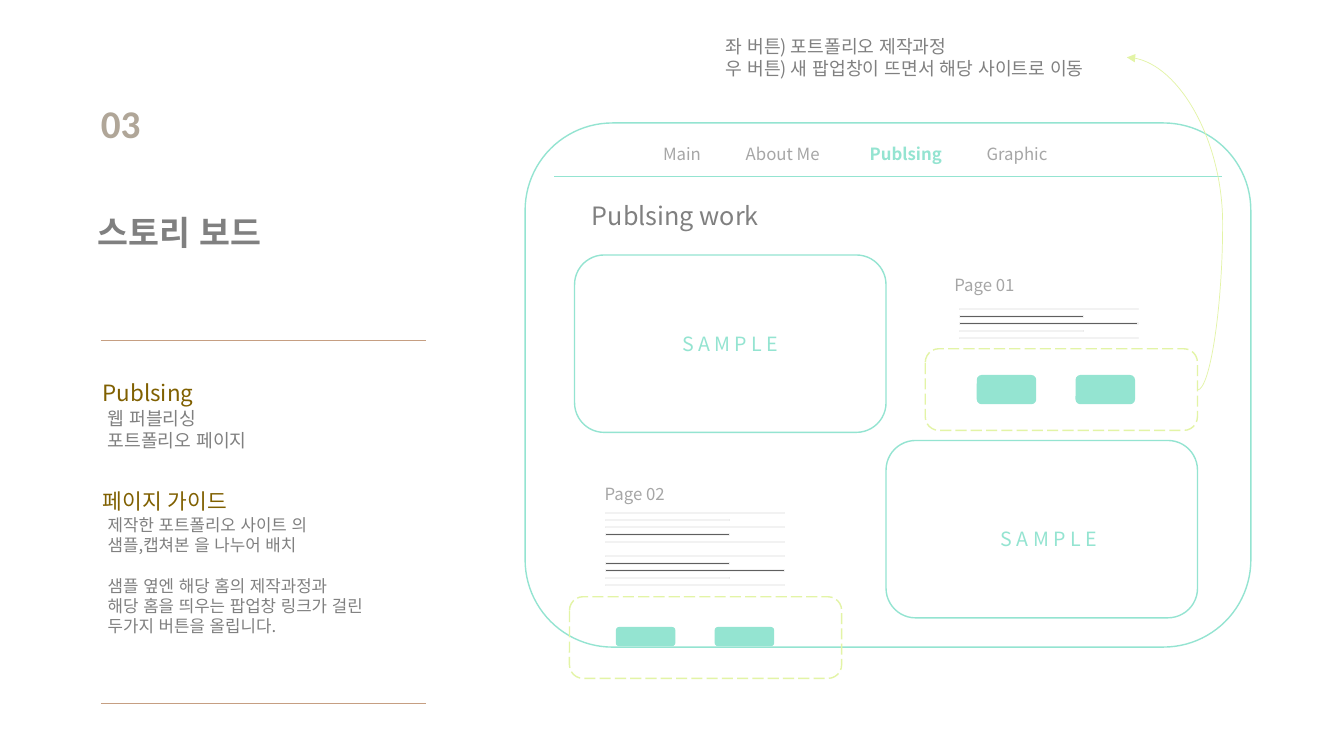
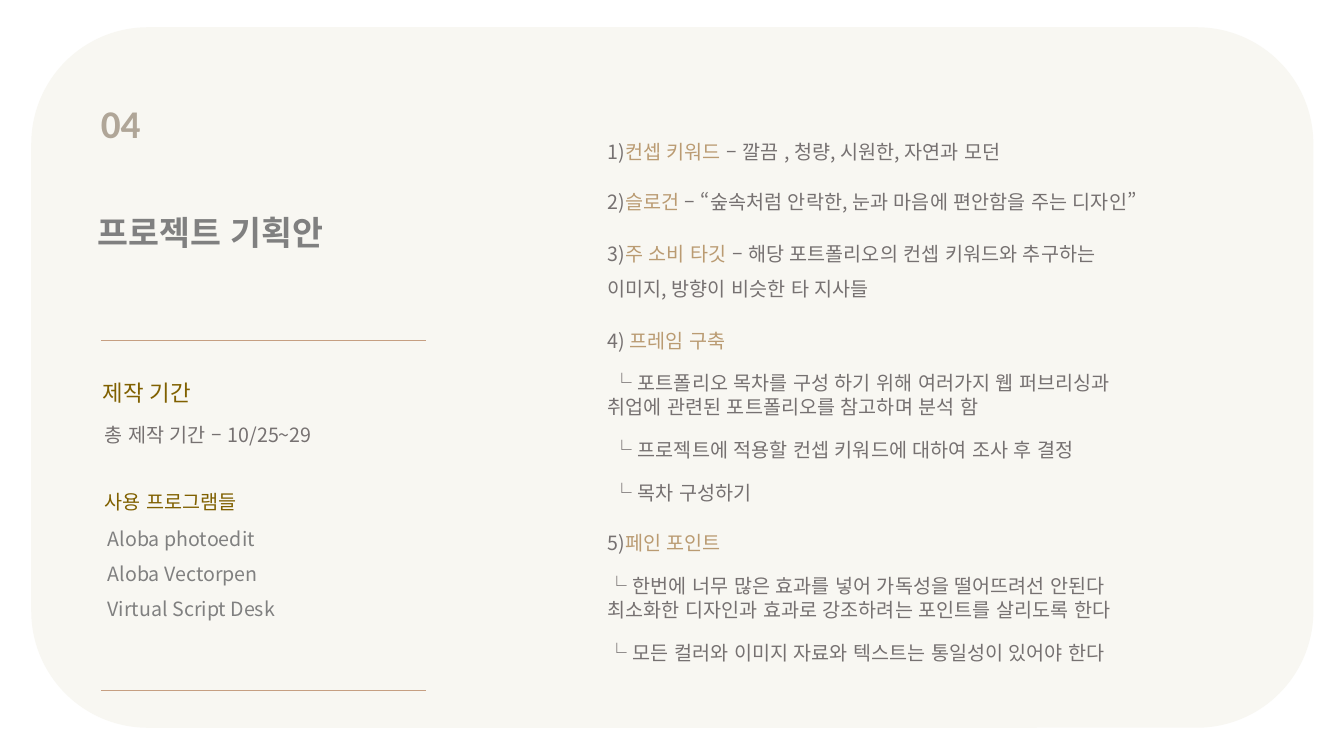
from lxml import etree
from pptx import Presentation
from pptx import util as u
from pptx.dml.color import RGBColor
from pptx.enum import dml, lang, shapes, text
from pptx.oxml import ns

PX = 9144  # EMU in one px, 100 px to the inch
FONT = "Noto Sans CJK KR"
COLORS = {
    "mint": "94E4D1", "lime": "E3F4A6", "cream": "F8F7F2", "tan": "C69F82",
    "sand": "B0A698", "gold": "BA9B72", "olive": "806000", "gray": "808080",
    "light": "A6A6A6", "body": "767171", "bar": "5F5F5F", "edge": "F2F2F2",
}
HEADING = {"line_spacing": u.Pt(48.6)}
LOOSE = {"line_spacing": 1.5}


def rgb(name):
    return RGBColor.from_string(COLORS[name])


def sub(parent, tag, **attrs):
    return etree.SubElement(parent, ns.qn(tag), attrs)


def set_all(target, values):
    for name, value in values.items():
        setattr(target, name, value)


def add_text(s, box, paras, size, color, font=FONT, bold=False, inset=True,
             tabs=(), fmt=None, gaps=None, indents=None):
    """A paragraph is a string or a list of (text, colour[, bold]) runs.

    gaps and indents map a paragraph index to points before it and to px.
    """
    sp = s.shapes.add_textbox(*(v * PX for v in box))
    tf = sp.text_frame
    tf.word_wrap = True
    if not inset:
        set_all(tf, dict.fromkeys(
            ("margin_left", "margin_top", "margin_right", "margin_bottom"), 0))
    for i, para in enumerate(paras):
        p = tf.add_paragraph() if i else tf.paragraphs[0]
        pPr = p._p.get_or_add_pPr()
        if indents and i in indents:
            pPr.set("indent", str(indents[i] * PX))
        if tabs:
            stops = sub(pPr, "a:tabLst")
            for pos in tabs:
                sub(stops, "a:tab", pos=str(pos * PX), algn="l")
        set_all(p, fmt or {})
        if gaps and i in gaps:
            p.space_before = u.Pt(gaps[i])
        runs = [(para, color)] if isinstance(para, str) else para
        for words, tint, *strong in runs:
            r = p.add_run()
            r.text = words
            set_all(r.font, {"size": u.Pt(size), "name": font,
                             "bold": strong[0] if strong else bold,
                             "language_id": lang.MSO_LANGUAGE_ID.KOREAN})
            r.font.color.rgb = rgb(tint)
            sub(r._r.get_or_add_rPr(), "a:ea", typeface=font)
    return sp


def paint(sp, fill=None, line=None, width=1, dash=None):
    sp.shadow.inherit = False
    if fill:
        sp.fill.solid()
        sp.fill.fore_color.rgb = rgb(fill)
    else:
        sp.fill.background()
    if line:
        sp.line.color.rgb = rgb(line)
        set_all(sp.line, {"width": u.Pt(width), "dash_style": dash})
    else:
        sp.line.fill.background()


def add_round(s, box, **look):
    sp = s.shapes.add_shape(shapes.MSO_SHAPE.ROUNDED_RECTANGLE,
                            *(v * PX for v in box))
    paint(sp, **look)


def add_line(s, start, end, color, kind=shapes.MSO_CONNECTOR.STRAIGHT):
    c = s.shapes.add_connector(kind, *(v * PX for v in (*start, *end)))
    c.line.color.rgb = rgb(color)
    c.line.width = u.Pt(0.5)
    sub(c._element.spPr, "a:effectLst")
    return c


def add_sidebar(s, number, title, bottom):
    add_text(s, (97, 210, 327, 40), [title], 24, "gray", bold=True, inset=False)
    add_text(s, (100, 99, 60, 47), [number], 28, "sand", font="Calibri",
             bold=True, inset=False)
    for y in (338, bottom):
        add_line(s, (100, y), (423, y), "tan")


def add_heading(s, x, y, words, size, color="olive"):
    add_text(s, (x, y, 260, 70), [words], size, color, fmt=HEADING)


def add_dummy_text(s, x, y):
    """Five thin bars, long and short in turn, drawn in tenths of a px."""
    builder = None
    for i in range(5):
        top, right = 72 * i, 1230 if i % 2 else 1770
        if builder is None:
            builder = s.shapes.build_freeform(0, top, scale=PX / 10)
        else:
            builder.move_to(0, top)
        builder.add_line_segments(
            [(0, top + 14), (right, top + 14), (right, top)], close=True)
    paint(builder.convert_to_shape(x * PX, y * PX), "bar", "edge", 0.75)


def add_sample(s, x, y, label_dx, label_dy):
    add_round(s, (x, y, 309, 176), line="mint")
    add_text(s, (x + label_dx, y + label_dy, 239, 34), ["S A M P L E"], 14,
             "mint", fmt={"alignment": text.PP_ALIGN.CENTER})


def add_buttons(s, x, y, left, top, height):
    """A dashed box with two buttons, the first at left, top inside it."""
    add_round(s, (x, y, 270, 81), line="lime",
              dash=dml.MSO_LINE.LONG_DASH)
    for dx in (left, left + 98):
        add_round(s, (x + dx, y + top, 59, height), fill="mint")


def add_callout_arrow(s):
    c = add_line(s, (1188, 387), (1118, 57), "lime", shapes.MSO_CONNECTOR.CURVE)
    guides = c._element.spPr.find(ns.qn("a:prstGeom")).find(ns.qn("a:avLst"))
    sub(guides, "a:gd", name="adj1", fmla="val -35800")
    sub(c.line._get_or_add_ln(), "a:tailEnd", type="triangle")


def add_wireframe(s, x, y):
    add_round(s, (x, y, 720, 520), line="mint")
    add_line(s, (x + 29, y + 53), (x + 691, y + 53), "mint")
    add_text(s, (x + 46, y + 72, 206, 40), ["Publsing work"], 18, "gray",
             fmt={"alignment": text.PP_ALIGN.CENTER})
    add_text(s, (x + 127, y + 16, 504, 30),
             [[("Main\tAbout Me\t", "light"), ("Publsing", "mint", True),
               ("\tGraphic", "light")]], 12, "light", tabs=(82, 205, 321))
    for dx, dy, label in ((69, 353, "Page 02"), (416, 146, "Page 01")):
        add_text(s, (x + dx, y + dy, 100, 30), [label], 12, "light")
    for dx, dy in ((80, 386), (80, 429), (431, 184)):
        add_dummy_text(s, x + dx, y + dy)
    add_sample(s, x + 358, y + 315, 42, 81)
    add_sample(s, x + 49, y + 131, 35, 71)
    add_buttons(s, x + 397, y + 224, 51, 26, 29)
    add_buttons(s, x + 44, y + 470, 46, 30, 19)


def build_storyboard(s):
    add_sidebar(s, "03", "스토리 보드", 698)
    add_heading(s, 92, 330, "Publsing", 16)
    add_text(s, (97, 399, 408, 54), ["웹 퍼블리싱", "포트폴리오 페이지"], 13, "gray")
    add_heading(s, 92, 437, "페이지 가이드", 15.3)
    add_text(s, (97, 506, 408, 155),
             ["제작한 포트폴리오 사이트 의", "샘플,캡쳐본 을 나누어 배치",
              "샘플 옆엔 해당 홈의 제작과정과",
              "해당 홈을 띄우는 팝업창 링크가 걸린",
              "두가지 버튼을 올립니다."], 12, "gray", gaps={2: 14.4})
    add_wireframe(s, 521, 122)
    add_text(s, (710, 30, 408, 54),
             ["좌 버튼) 포트폴리오 제작과정",
              "우 버튼) 새 팝업창이 뜨면서 해당 사이트로 이동"], 13, "gray")
    add_callout_arrow(s)


def add_item(s, y, height, number, name, rest="", steps=(), indent=0,
             width=552):
    """A numbered point: loose lines, or a tight list of steps below it."""
    first = [(number, "body"), (name, "gold"), (rest, "body")]
    below = range(1, len(steps) + 1)
    add_text(s, (593, y, width, height), [[r for r in first if r[0]], *steps],
             14, "body", fmt=None if steps else LOOSE,
             gaps=dict.fromkeys(below, 13.8),
             indents=dict.fromkeys(below, indent))


def build_plan(s):
    add_round(s, (31, 27, 1272, 695), fill="cream")
    add_sidebar(s, "04", "프로젝트 기획안", 685)
    add_heading(s, 92, 330, "제작 기간", 16)
    add_heading(s, 94, 370, "총 제작 기간 – 10/25~29", 14, "body")
    add_heading(s, 94, 437, "사용 프로그램들", 14)
    add_text(s, (97, 506, 281, 187),
             ["Aloba photoedit", "Aloba Vectorpen", "Virtual Script Desk"],
             14, "gray", fmt=LOOSE)
    add_item(s, 122, 70, "1)", "컨셉 키워드 ", "– 깔끔 , 청량, 시원한, 자연과 모던")
    add_item(s, 172, 70, "2)", "슬로건 ",
             "– “숲속처럼 안락한, 눈과 마음에 편안함을 주는 디자인”", width=620)
    add_item(s, 223, 144, "3)", "주 소비 타깃 ",
             "– 해당 포트폴리오의 컨셉 키워드와 추구하는 이미지, 방향이 비슷한 타 지사들")
    add_item(s, 321, 346, "4) ", "프레임 구축", indent=5, steps=(
        "└ 포트폴리오 목차를 구성 하기 위해 여러가지 웹 퍼브리싱과 "
        "취업에 관련된 포트폴리오를 참고하며 분석 함",
        "└ 프로젝트에 적용할 컨셉 키워드에 대하여 조사 후 결정",
        "└ 목차 구성하기"))
    add_item(s, 522, 201, "5)", "페인 포인트", steps=(
        "└ 한번에 너무 많은 효과를 넣어 가독성을 떨어뜨려선 안된다 "
        "최소화한 디자인과 효과로 강조하려는 포인트를 살리도록 한다",
        "└ 모든 컬러와 이미지 자료와 텍스트는 통일성이 있어야 한다"))


def main():
    prs = Presentation()
    set_all(prs, {"slide_width": u.Emu(12192000), "slide_height": 750 * PX})
    for build in (build_storyboard, build_plan):
        build(prs.slides.add_slide(prs.slide_layouts[6]))
    prs.save("out.pptx")


if __name__ == "__main__":
    main()
